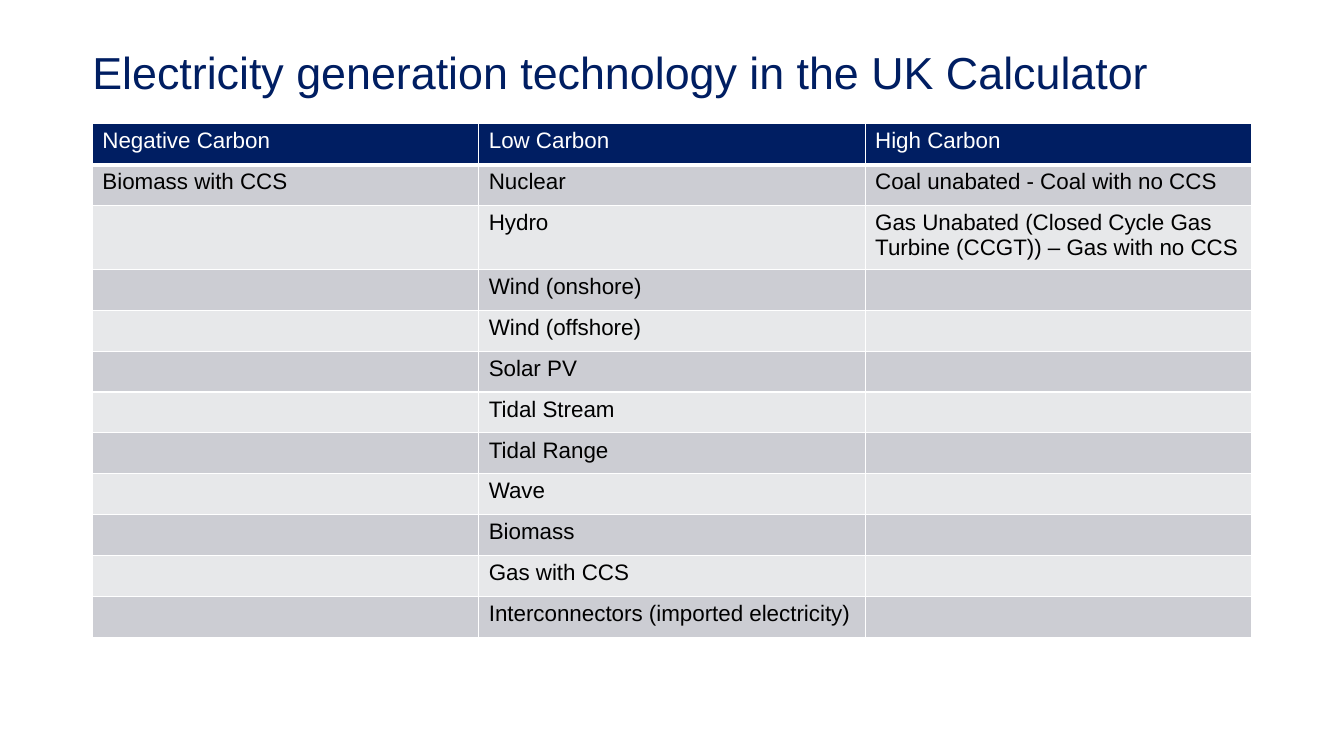
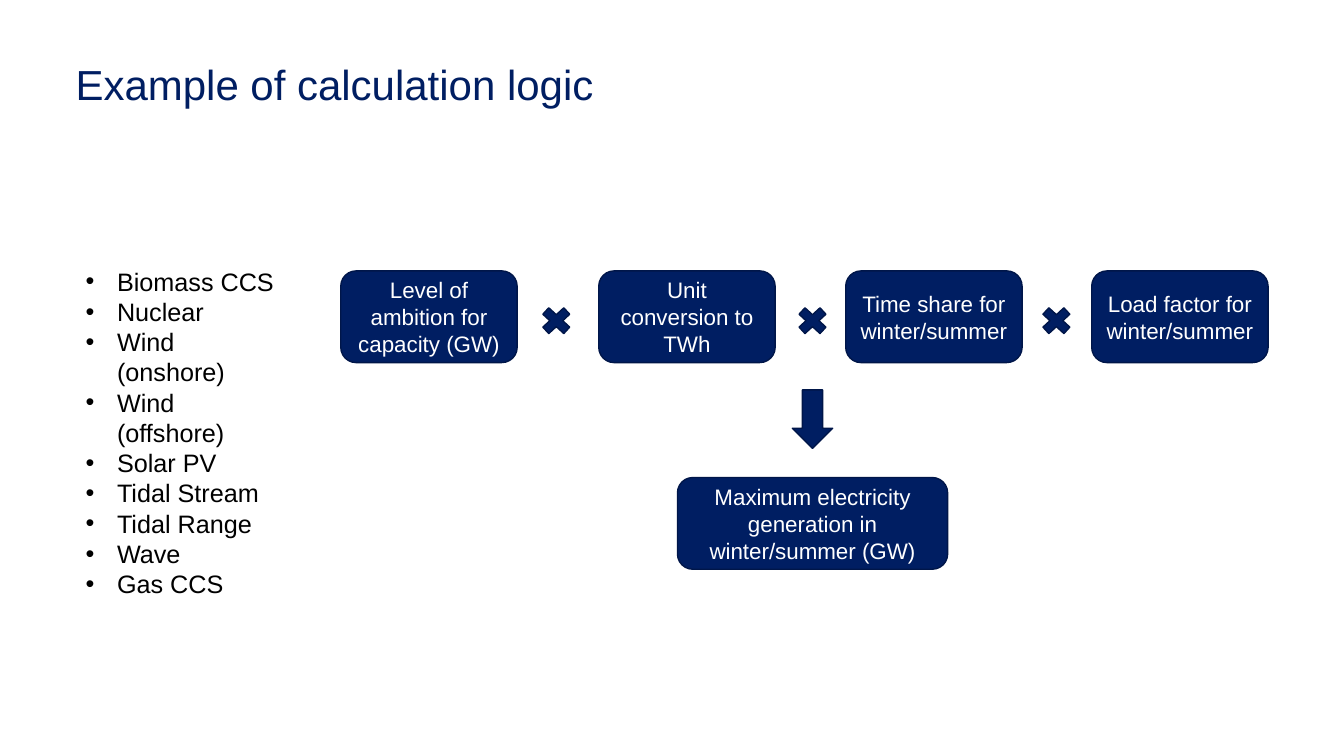
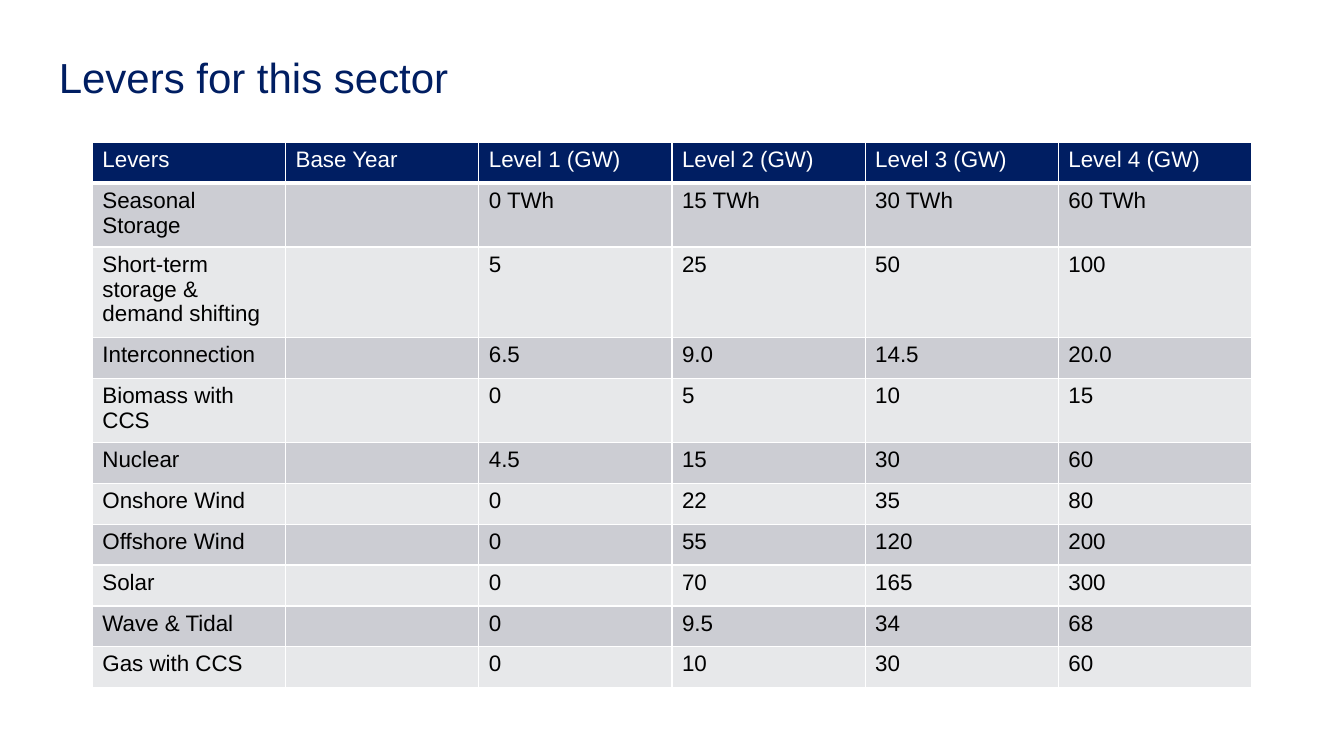
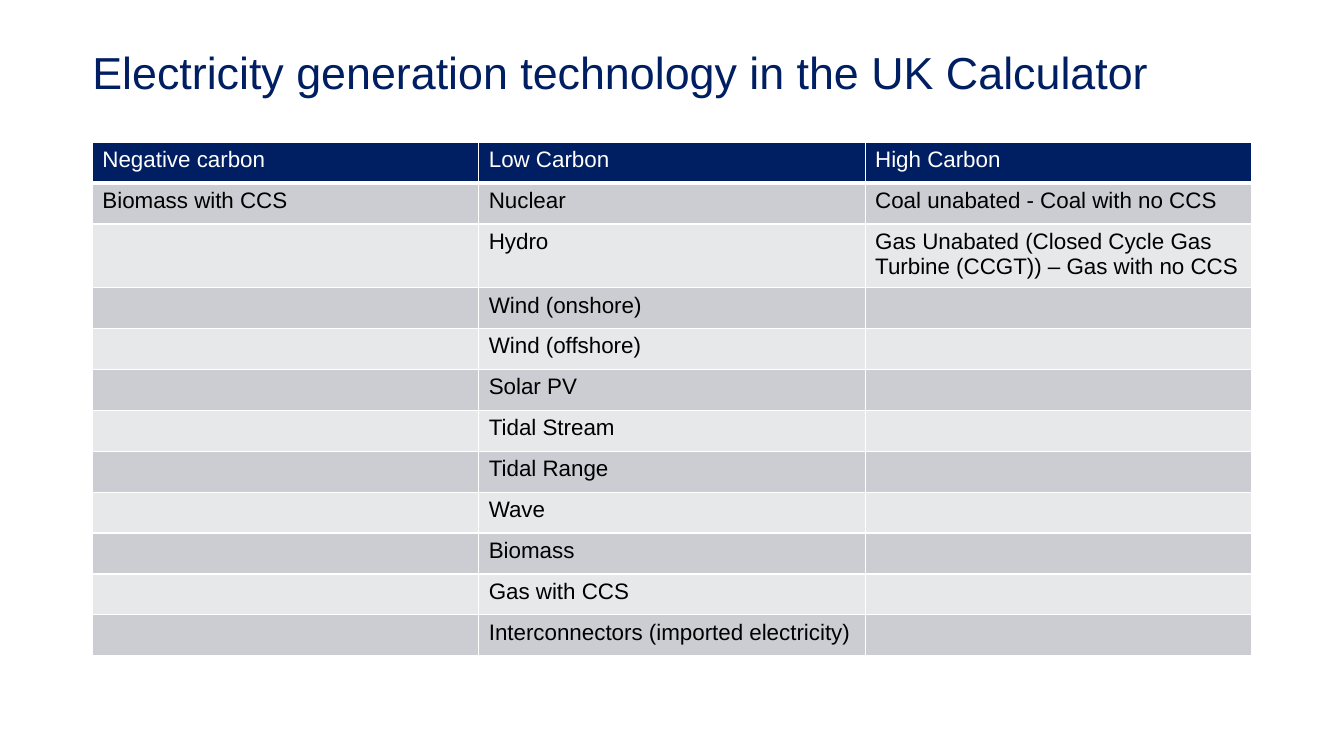
from lxml.etree import SubElement
from pptx import Presentation
from pptx.dml.color import RGBColor
from pptx.enum.shapes import MSO_SHAPE
from pptx.enum.text import MSO_ANCHOR, PP_ALIGN
from pptx.oxml.ns import qn
from pptx.util import Pt

# Shared look
FONT = "Arial"
NAVY, DARK_NAVY = "001E62", "001649"
WHITE, BLACK = "FFFFFF", "000000"
BANDS = ("CCCDD3", "E7E8EA")
TABLE_LEFT, TABLE_WIDTH, ROW_HEIGHT = 66, 828, 29.2
TECHNOLOGY_TITLE = "Electricity generation technology in the UK Calculator"

# Content
TECHNOLOGY_ROWS = [
    ("Biomass with CCS", "Nuclear", "Coal unabated - Coal with no CCS"),
    ("", "Hydro", "Gas Unabated (Closed Cycle Gas Turbine (CCGT)) – Gas with no CCS"),
] + [("", name, "") for name in (
    "Wind (onshore)", "Wind (offshore)", "Solar PV", "Tidal Stream", "Tidal Range",
    "Wave", "Biomass", "Gas with CCS", "Interconnectors (imported electricity)")]

LEVER_ROWS = [
    ("Levers", "Base Year", "Level 1 (GW)", "Level 2 (GW)", "Level 3 (GW)", "Level 4 (GW)"),
    ("Seasonal Storage", "", "0 TWh", "15 TWh", "30 TWh", "60 TWh"),
    ("Short-term storage & demand shifting", "", "5", "25", "50", "100"),
    ("Interconnection", "", "6.5", "9.0", "14.5", "20.0"),
    ("Biomass with CCS", "", "0", "5", "10", "15"),
    ("Nuclear", "", "4.5", "15", "30", "60"),
    ("Onshore Wind", "", "0", "22", "35", "80"),
    ("Offshore Wind", "", "0", "55", "120", "200"),
    ("Solar", "", "0", "70", "165", "300"),
    ("Wave & Tidal", "", "0", "9.5", "34", "68"),
    ("Gas with CCS", "", "0", "10", "30", "60"),
]

BULLETS = ("Biomass CCS", "Nuclear", "Wind (onshore)", "Wind (offshore)", "Solar PV",
           "Tidal Stream", "Tidal Range", "Wave", "Gas CCS")
FACTORS = (
    (243.4, "Level of ambition for capacity (GW)"),
    (427.7, "Unit conversion to TWh"),
    (604.1, "Time share for winter/summer"),
    (779.8, "Load factor for winter/summer"),
)


def color(hex_string):
    return RGBColor.from_string(hex_string)


def add_run(paragraph, text, size, hex_string):
    run = paragraph.add_run()
    run.text = text
    run.font.name = FONT
    run.font.size = Pt(size)
    run.font.color.rgb = color(hex_string)


def add_text_box(slide, left, top, width, height):
    frame = slide.shapes.add_textbox(Pt(left), Pt(top), Pt(width), Pt(height)).text_frame
    frame.word_wrap = True
    return frame


def add_title(slide, text, left, top, size):
    frame = add_text_box(slide, left, top, TABLE_WIDTH, 52)
    frame.margin_left = frame.margin_right = frame.margin_top = frame.margin_bottom = 0
    paragraph = frame.paragraphs[0]
    paragraph.line_spacing = 0.9
    add_run(paragraph, text, size, NAVY)


def set_borders(cell, bottom_width):
    properties = cell._tc.get_or_add_tcPr()
    for side, width in (("L", 1), ("R", 1), ("T", 1), ("B", bottom_width)):
        line = SubElement(properties, qn(f"a:ln{side}"), w=str(Pt(width)))
        fill = SubElement(line, qn("a:solidFill"))
        SubElement(fill, qn("a:srgbClr"), val=WHITE)


def add_banded_table(slide, rows, top):
    columns = len(rows[0])
    table = slide.shapes.add_table(
        len(rows), columns, Pt(TABLE_LEFT), Pt(top),
        Pt(TABLE_WIDTH), Pt(ROW_HEIGHT * len(rows))).table
    for column in table.columns:
        column.width = Pt(TABLE_WIDTH / columns)
    for row_index, row in enumerate(rows):
        is_header = row_index == 0
        table.rows[row_index].height = Pt(ROW_HEIGHT)
        for column_index, text in enumerate(row):
            cell = table.cell(row_index, column_index)
            set_borders(cell, 3 if is_header else 1)
            cell.fill.solid()
            cell.fill.fore_color.rgb = color(NAVY if is_header else BANDS[(row_index - 1) % 2])
            if text:
                add_run(cell.text_frame.paragraphs[0], text, 16, WHITE if is_header else BLACK)


def add_navy_shape(slide, kind, left, top, width, height, text=""):
    shape = slide.shapes.add_shape(kind, Pt(left), Pt(top), Pt(width), Pt(height))
    shape.shadow.inherit = False
    shape.fill.solid()
    shape.fill.fore_color.rgb = color(NAVY)
    shape.line.color.rgb = color(DARK_NAVY)
    shape.line.width = Pt(1)
    if text:
        frame = shape.text_frame
        frame.word_wrap = True
        frame.vertical_anchor = MSO_ANCHOR.MIDDLE
        paragraph = frame.paragraphs[0]
        paragraph.alignment = PP_ALIGN.CENTER
        add_run(paragraph, text, 16, WHITE)


def add_bullets(slide, items, left, top, width, height):
    frame = add_text_box(slide, left, top, width, height)
    indent = Pt(22.5)
    for index, item in enumerate(items):
        paragraph = frame.add_paragraph() if index else frame.paragraphs[0]
        properties = paragraph._p.get_or_add_pPr()
        properties.set("marL", str(indent))
        properties.set("indent", str(-indent))
        SubElement(properties, qn("a:buFont"), typeface=FONT)
        SubElement(properties, qn("a:buChar"), char="•")
        add_run(paragraph, item, 18, BLACK)


def add_calculation(slide, top):
    box_width, box_height = 126, 65.5
    sign_width, sign_height = 28.8, 26.6
    # Factors, with a multiplication sign between neighbours
    for left, text in FACTORS:
        add_navy_shape(slide, MSO_SHAPE.ROUNDED_RECTANGLE, left, top, box_width, box_height, text)
    for sign_left in (383, 566, 740.2):
        add_navy_shape(slide, MSO_SHAPE.MATH_MULTIPLY, sign_left, top + 22.3,
                       sign_width, sign_height)
    # Result, centred below the second sign
    center = 566 + sign_width / 2
    add_navy_shape(slide, MSO_SHAPE.DOWN_ARROW, center - sign_width / 2, top + 85, sign_width, 41.8)
    result_width = 193
    add_navy_shape(slide, MSO_SHAPE.ROUNDED_RECTANGLE, center - result_width / 2, top + 147.6,
                   result_width, box_height, "Maximum electricity generation in winter/summer (GW)")


def technology_slide(slide, first_heading, table_top):
    add_title(slide, TECHNOLOGY_TITLE, TABLE_LEFT, 36, 32)
    header = (first_heading, "Low Carbon", "High Carbon")
    add_banded_table(slide, [header] + TECHNOLOGY_ROWS, table_top)


def logic_slide(slide):
    add_title(slide, "Example of calculation logic", 54, 46, 30)
    add_calculation(slide, 193.5)
    add_bullets(slide, BULLETS, 54, 186.5, 154, 204)


def levers_slide(slide):
    add_title(slide, "Levers for this sector", 42, 41, 30)
    add_banded_table(slide, LEVER_ROWS, 101.6)


def main():
    presentation = Presentation()
    presentation.slide_width, presentation.slide_height = Pt(960), Pt(540)
    blank = presentation.slide_layouts[6]

    def new_slide():
        return presentation.slides.add_slide(blank)

    technology_slide(new_slide(), "Negative Carbon", 88.4)
    logic_slide(new_slide())
    levers_slide(new_slide())
    technology_slide(new_slide(), "Negative carbon", 101.6)
    presentation.save("out.pptx")


if __name__ == "__main__":
    main()
